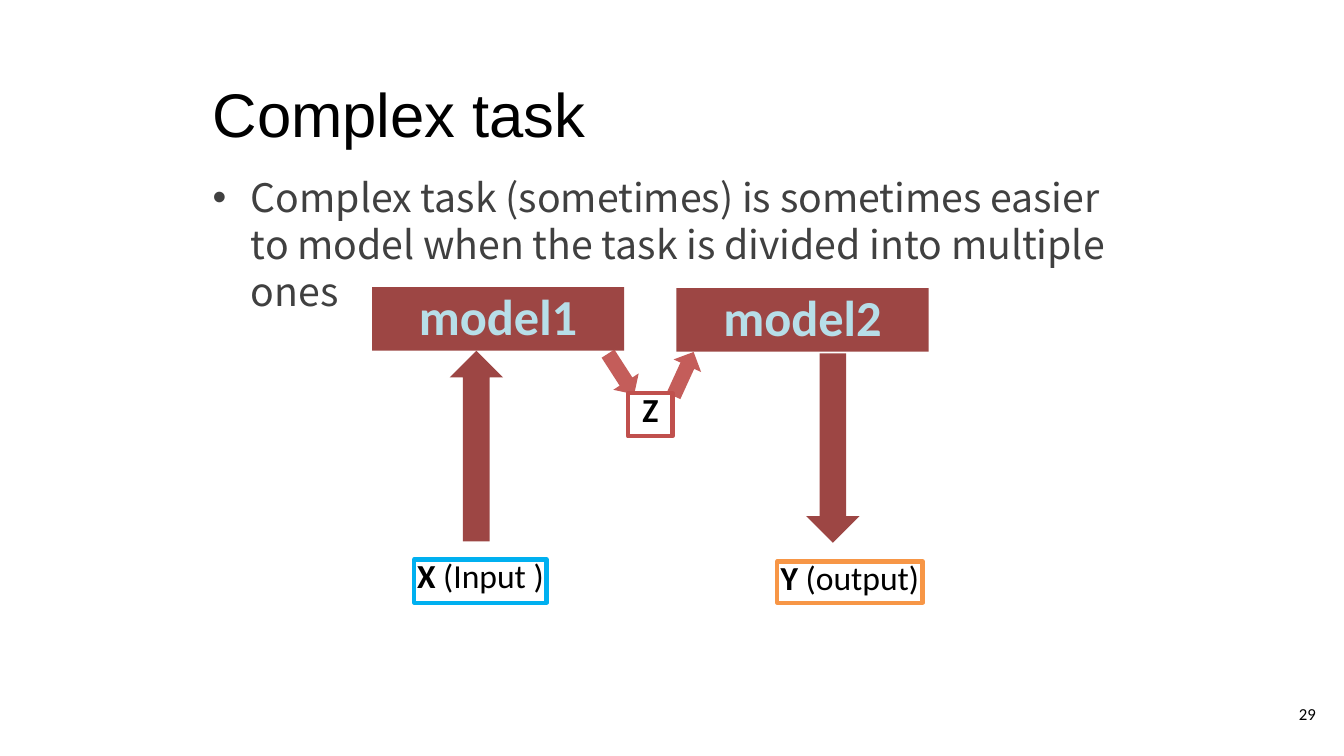
from lxml import etree
from pptx import Presentation
from pptx.dml.color import RGBColor as Rgb
from pptx.enum.shapes import MSO_SHAPE as Kind
from pptx.enum.text import MSO_ANCHOR as Anchor, PP_ALIGN as Align
from pptx.oxml.ns import qn
from pptx.util import Inches, Pt

COLS, ROWS = 133.3, 75  # grid of tenth-inch cells


def tint(code):
    return Rgb.from_string(code)


class Board:
    brick, rose, pale = "953735", "C0504D", "B7DEE8"
    ink, grey = "000000", "404040"
    sans, label = "Arial", "Calibri"
    body = "Noto Sans CJK KR"

    def __init__(self, deck):
        deck.slide_width, deck.slide_height = Inches(COLS / 10), Inches(ROWS / 10)
        self.wide, self.high = deck.slide_width / COLS, deck.slide_height / ROWS
        self.slide = deck.slides.add_slide(deck.slide_layouts[6])

    def spot(self, col, row, cols, rows):
        return (round(col * self.wide), round(row * self.high),
                round(cols * self.wide), round(rows * self.high))

    def words(self, frame, parts, size, face, color, align, pad, anchor, wrap=True):
        """Fill a frame with (text, bold) parts in one paragraph."""
        frame.word_wrap, frame.vertical_anchor = wrap, anchor
        frame.margin_left = frame.margin_right = Inches(pad[0])
        frame.margin_top = frame.margin_bottom = Inches(pad[1])
        para = frame.paragraphs[0]
        para.alignment = align
        for text, bold in parts:
            run = para.add_run()
            run.text = text
            font = run.font
            font.size, font.name, font.bold = Pt(size), face, bold
            font.color.rgb = tint(color)
        return para

    def text(self, place, line, size, face, color, align=Align.LEFT, anchor=Anchor.TOP):
        box = self.slide.shapes.add_textbox(*self.spot(*place))
        return self.words(box.text_frame, [(line, False)], size, face, color,
                          align, (0.1, 0.1), anchor)

    def bullet(self, place, line, size):
        para = self.text(place, line, size, self.body, self.grey)
        props = para._p.get_or_add_pPr()
        props.set("marL", str(Inches(0.38)))
        props.set("indent", str(-Inches(0.38)))
        etree.SubElement(props, qn("a:buFont"), typeface="Arial")
        etree.SubElement(props, qn("a:buChar"), char="•")
        para.line_spacing = Pt(33.6)

    def solid(self, kind, place, color, turn=0):
        """Add a borderless shape, slightly see-through."""
        shape = self.slide.shapes.add_shape(kind, *self.spot(*place))
        shape.shadow.inherit = False
        shape.rotation = turn
        shape.fill.solid()
        shape.fill.fore_color.rgb = tint(color)
        shade = shape._element.spPr.find(qn("a:solidFill"))[0]
        etree.SubElement(shade, qn("a:alpha"), val="92000")
        shape.line.fill.background()
        return shape

    def arrow(self, place, color, turn):
        self.solid(Kind.RIGHT_ARROW, place, color, turn)

    def model(self, place, name):
        box = self.solid(Kind.RECTANGLE, place, self.brick)
        para = self.words(box.text_frame, [(name, True)], 36, self.label, self.pale,
                          Align.CENTER, (0.08, 0.04), Anchor.MIDDLE)
        para.line_spacing = 0.9

    def tag(self, place, parts, color):
        box = self.slide.shapes.add_shape(Kind.RECTANGLE, *self.spot(*place))
        box.shadow.inherit = False
        box.fill.background()
        box.line.color.rgb, box.line.width = tint(color), Pt(3)
        para = self.words(box.text_frame, parts, 24, self.label, self.ink,
                          Align.CENTER, (0, 0), Anchor.TOP, wrap=False)
        para.line_spacing = 0.9


def main():
    deck = Presentation()
    board = Board(deck)

    # Heading, statement and page number
    board.bullet((20.1, 16.2, 93.2, 49.8),
                 "Complex task (sometimes) is sometimes easier to model "
                 "when the task is divided into multiple ones", 28)
    board.text((123.5, 68, 8, 5.7), "29", 12, board.label, board.ink,
               Align.RIGHT, Anchor.MIDDLE)
    board.text((20.1, 6.5, 96.6, 8.4), "Complex task", 44, board.sans, board.ink)

    # Models, each with its long arrow
    board.arrow((37.8, 41.6, 18.9, 5.3), board.brick, 270)
    board.model((36.9, 28.5, 25, 6.3), "model1")
    board.arrow((73.2, 41.8, 18.8, 5.3), board.brick, 90)
    board.model((67.1, 28.6, 25, 6.3), "model2")

    # Middle step between the models
    board.tag((62.3, 39, 4.4, 4.3), [("Z", True)], board.rose)
    for col, turn in ((65.4, 294.6), (59.2, 57.2)):
        board.arrow((col, 35.6, 4.8, 3), board.rose, turn)

    # Output and input
    board.tag((77.1, 55.7, 14.4, 4.1), [("Y", True), (" (output)", False)], "F79646")
    board.tag((41.1, 55.5, 13.1, 4.3), [("X ", True), ("(Input )", False)], "00B0F0")

    deck.save("out.pptx")


if __name__ == "__main__":
    main()
